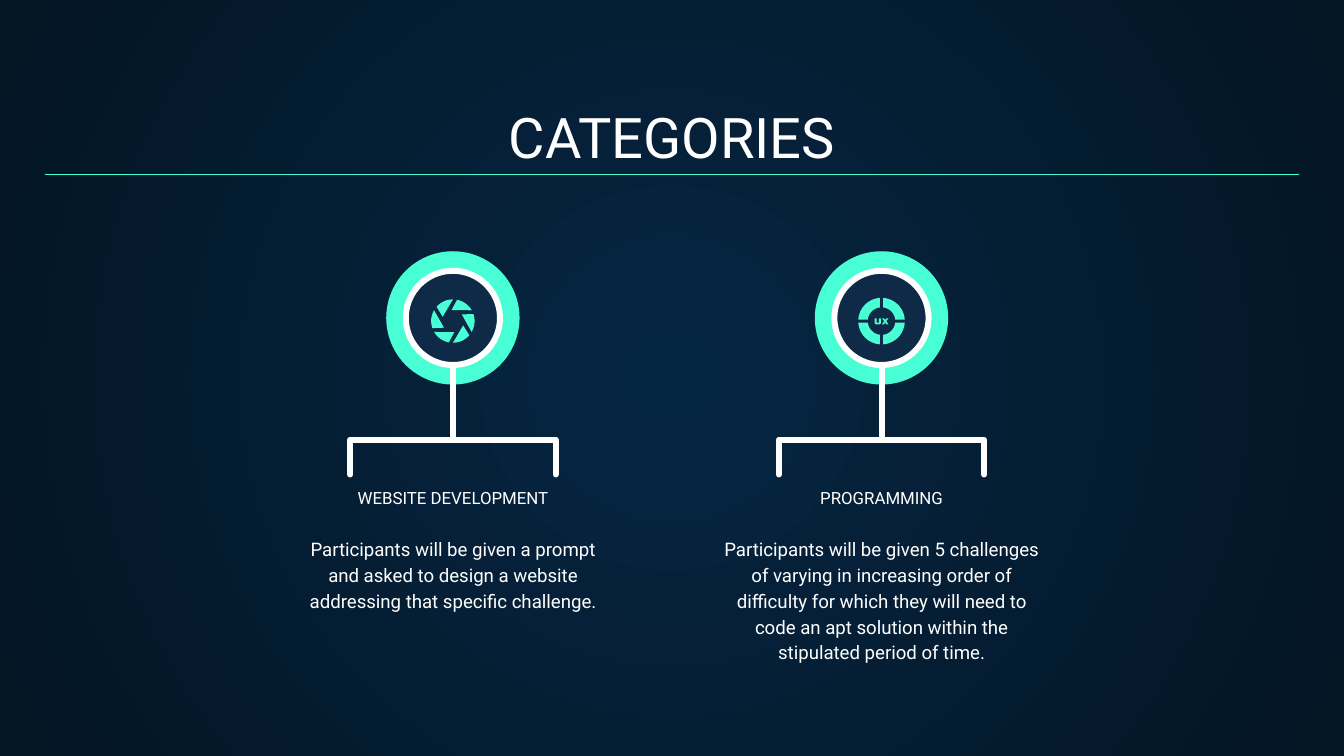
from dataclasses import dataclass
from math import asin, cos, radians, sin

from lxml.etree import SubElement
from pptx import Presentation
from pptx.dml.color import RGBColor
from pptx.enum.shapes import MSO_CONNECTOR, MSO_SHAPE
from pptx.enum.text import MSO_ANCHOR, MSO_AUTO_SIZE, PP_ALIGN
from pptx.oxml.ns import qn
from pptx.util import Cm, Pt


@dataclass(frozen=True)
class Theme:
    font: str = "Roboto"
    white: RGBColor = RGBColor(0xFF, 0xFF, 0xFF)
    mint: RGBColor = RGBColor(0x48, 0xFF, 0xD5)
    navy: RGBColor = RGBColor(0x0E, 0x2A, 0x47)
    glow: RGBColor = RGBColor(0x05, 0x26, 0x43)
    night: RGBColor = RGBColor(0x04, 0x15, 0x23)
    title_size: float = 30
    caption_size: float = 9
    body_size: float = 10
    rule_width: float = 0.75
    branch_width: float = 3.2


THEME = Theme()
COLUMN_CENTRES = (8.56, 16.66)
BADGE_Y = 6.01
ICON_Y = 6.07
BRANCH_Y = 8.31
LETTER_U = [(-0.13, -0.05), (-0.09, -0.05), (-0.09, 0.03), (-0.05, 0.03),
            (-0.05, -0.05), (-0.01, -0.05), (-0.01, 0.04), (-0.03, 0.06),
            (-0.11, 0.06), (-0.13, 0.04)]
LETTER_X = [(0.01, -0.05), (0.05, -0.05), (0.07, -0.02), (0.09, -0.05),
            (0.13, -0.05), (0.09, 0), (0.13, 0.06), (0.09, 0.06),
            (0.07, 0.02), (0.05, 0.06), (0.01, 0.06), (0.05, 0)]


def paint_background(page):
    fill = page.background.fill
    fill.gradient()
    for stop, color in zip(fill.gradient_stops, (THEME.glow, THEME.night)):
        stop.color.rgb = color
    gradient = page.element.xpath(".//p:bg//a:gradFill")[0]
    for linear in gradient.findall(qn("a:lin")):
        gradient.remove(linear)
    radial = SubElement(gradient, qn("a:path"), {"path": "circle"})
    SubElement(radial, qn("a:fillToRect"), dict.fromkeys("ltrb", "50000"))


def fill_text(box, text, size, centre, top, width, height,
              anchor=MSO_ANCHOR.BOTTOM, line_spacing=1.0, space_after=0):
    box.left, box.top = Cm(centre - width / 2), Cm(top)
    box.width, box.height = Cm(width), Cm(height)
    frame = box.text_frame
    frame.word_wrap = True
    frame.auto_size = MSO_AUTO_SIZE.NONE
    frame.vertical_anchor = anchor
    frame.margin_left = frame.margin_right = Cm(0.25)
    frame.margin_top = frame.margin_bottom = Cm(0.25)
    para = frame.paragraphs[0]
    para.alignment = PP_ALIGN.CENTER
    para.line_spacing = line_spacing
    para.space_before, para.space_after = Pt(0), Pt(space_after)
    properties = para._p.get_or_add_pPr()
    properties.set("marL", "0")
    properties.set("indent", "0")
    SubElement(properties, qn("a:buNone"))
    span = para.add_run()
    span.text = text
    span.font.name = THEME.font
    span.font.size = Pt(size)
    span.font.bold = False
    span.font.color.rgb = THEME.white


def style_line(shape, color, width):
    shape.line.color.rgb = color
    shape.line.width = Pt(width)
    shape.line._get_or_add_ln().set("cap", "rnd")


def add_line(page, start, end, color, width):
    line = page.shapes.add_connector(
        MSO_CONNECTOR.STRAIGHT, *map(Cm, (*start, *end)))
    style_line(line, color, width)
    SubElement(line._element.spPr, qn("a:effectLst"))


def add_disc(page, centre, diameter, color):
    disc = page.shapes.add_shape(
        MSO_SHAPE.OVAL, Cm(centre - diameter / 2), Cm(BADGE_Y - diameter / 2),
        Cm(diameter), Cm(diameter))
    disc.shadow.inherit = False
    disc.fill.solid()
    disc.fill.fore_color.rgb = color
    disc.line.fill.background()
    return disc


def add_outline(page, points, close=True):
    places = [(Cm(x), Cm(y)) for x, y in points]
    builder = page.shapes.build_freeform(*places[0])
    builder.add_line_segments(places[1:], close=close)
    shape = builder.convert_to_shape()
    shape.shadow.inherit = False
    return shape


def add_icon_part(page, centre, points):
    part = add_outline(page, [(centre + x, ICON_Y + y) for x, y in points])
    part.fill.solid()
    part.fill.fore_color.rgb = THEME.mint
    part.line.fill.background()


def arc(radius, start, end, steps=12):
    angles = [radians(start + (end - start) * step / steps)
              for step in range(steps + 1)]
    return [(radius * cos(angle), radius * sin(angle)) for angle in angles]


def add_aperture(page, centre):
    for turn in range(0, 360, 60):
        corner = arc(0.21, turn - 97, turn - 97, 1)[:1]
        add_icon_part(page, centre, corner + arc(0.41, turn - 79, turn - 30))


def add_ux_wheel(page, centre):
    outer, inner, half_gap = 0.44, 0.26, 0.03
    outer_trim, inner_trim = (asin(half_gap / radius) * 57.3
                              for radius in (outer, inner))
    for turn in range(0, 360, 90):
        rim = arc(outer, turn + outer_trim, turn + 90 - outer_trim)
        hub = arc(inner, turn + 90 - inner_trim, turn + inner_trim)
        add_icon_part(page, centre, rim + hub)
    for letter in (LETTER_U, LETTER_X):
        add_icon_part(page, centre, letter)


def add_badge(page, centre, draw_icon):
    left, right, foot = centre - 1.94, centre + 1.94, 8.97
    bracket = add_outline(page, [(left, foot), (left, BRANCH_Y),
                                 (right, BRANCH_Y), (right, foot)], close=False)
    bracket.fill.background()
    style_line(bracket, THEME.white, THEME.branch_width)
    add_disc(page, centre, 2.52, THEME.mint)
    add_line(page, (centre, 5.88), (centre, BRANCH_Y),
             THEME.white, THEME.branch_width)
    core = add_disc(page, centre, 1.78, THEME.navy)
    style_line(core, THEME.white, THEME.branch_width)
    draw_icon(page, centre)


def main():
    deck = Presentation()
    deck.slide_width, deck.slide_height = Cm(25.4), Cm(14.29)
    page = deck.slides.add_slide(deck.slide_layouts.get_by_name("Comparison"))
    paint_background(page)
    title, *boxes = list(page.placeholders)[:5]
    for extra in list(page.placeholders)[5:]:
        extra._element.getparent().remove(extra._element)
    fill_text(title, "CATEGORIES", THEME.title_size, 12.7, 1.78, 23.67, 1.68)

    categories = (
        ("WEBSITE DEVELOPMENT",
         "Participants will be given a prompt and asked to design a website "
         "addressing that specific challenge.", 6.12, 3.45, add_aperture),
        ("PROGRAMMING",
         "Participants will be given 5 challenges of varying in increasing "
         "order of difficulty for which they will need to code an apt solution "
         "within the stipulated period of time.", 6.5, 3.76, add_ux_wheel),
    )
    columns = zip(COLUMN_CENTRES, categories, boxes[::2], boxes[1::2])
    for centre, category, caption_box, body_box in columns:
        caption, body, width, height, draw_icon = category
        fill_text(caption_box, caption, THEME.caption_size,
                  centre, 9.32, 5.77, 0.53)
        fill_text(body_box, body, THEME.body_size, centre, 9.86, width, height,
                  MSO_ANCHOR.TOP, 1.15, 8)
        add_badge(page, centre, draw_icon)
    add_line(page, (0.86, 3.3), (24.54, 3.3), THEME.mint, THEME.rule_width)
    deck.save("out.pptx")


if __name__ == "__main__":
    main()
